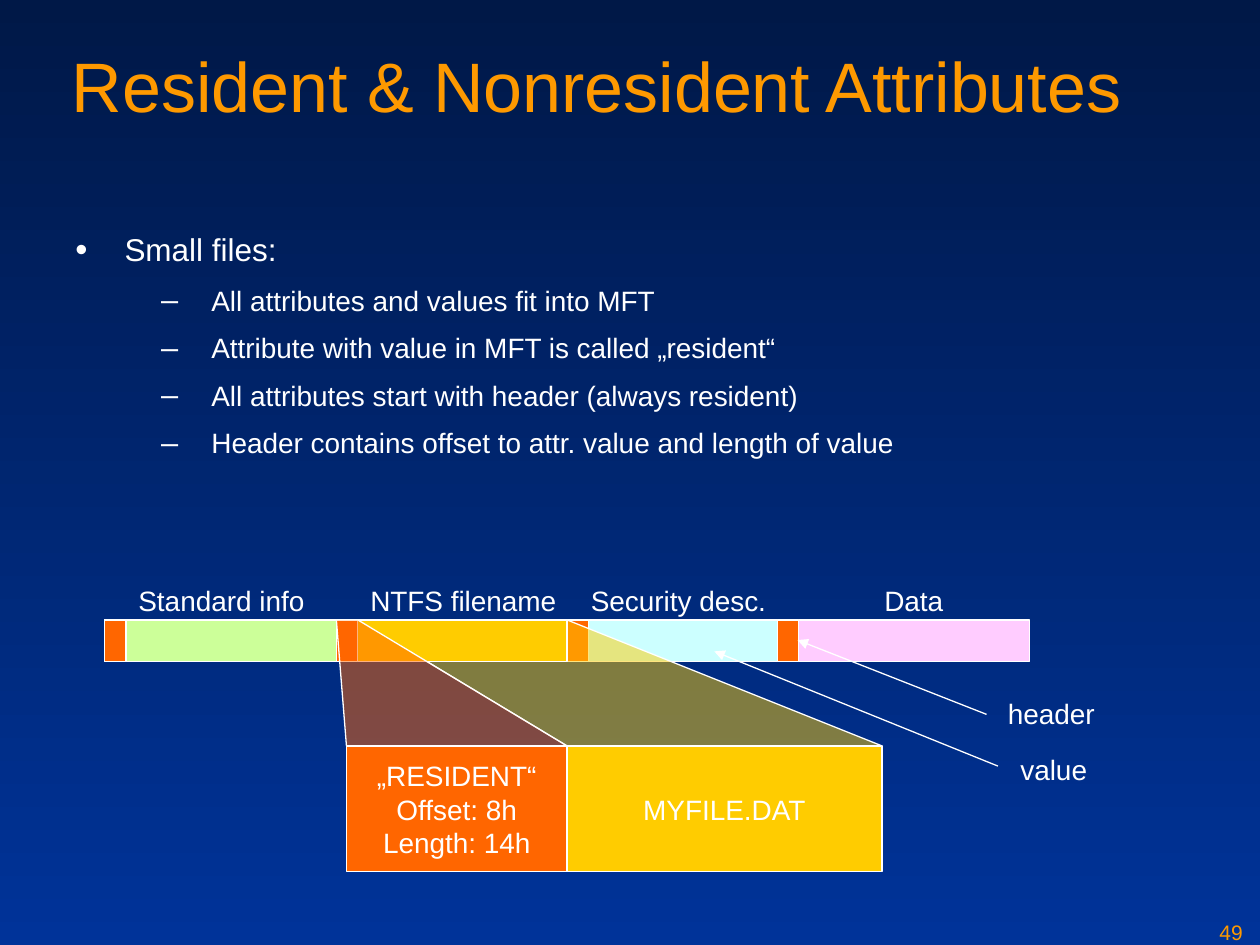
import pptx
import pptx.util
import pptx.dml.color
import pptx.enum.shapes
import pptx.enum.text
import pptx.oxml.ns
from lxml import etree
from pptx.util import Inches

COLORS = {
    "top": "001847", "bottom": "003399", "accent": "FE9900", "white": "FFFFFF",
    "header": "FF6600", "standard": "CCFF99", "filename": "FFCC00",
    "security": "CCFFFF", "data": "FFCCFF",
}
TITLE = "Resident & Nonresident Attributes"
PAGE_NUMBER = "49"
BULLETS = [
    (0, "Small files:"),
    (1, "All attributes and values fit into MFT"),
    (1, "Attribute with value in MFT is called „resident“"),
    (1, "All attributes start with header (always resident)"),
    (1, "Header contains offset to attr. value and length of value"),
]
LEVELS = [
    {"mark": "•", "left": 0.39, "hang": 0.39, "size": 18, "gap": 4.5},
    {"mark": "–", "left": 1.08, "hang": 0.4, "size": 16, "gap": 4},
]
ATTRIBUTES = {
    "standard": (0.83, 2.67),
    "security": (4.5, 6.17),
    "data": (6.17, 8.17),
    "filename": (2.67, 4.5),
}
LABELS = [
    ("NTFS filename", 2.84, 4.58, 1.68), ("Standard info", 1, 4.58, 1.52),
    ("Security desc.", 4.59, 4.58, 1.59), ("Data", 6.92, 4.58, 0.67),
    ("header", 7.9, 5.48, 0.89), ("value", 8, 5.92, 0.73),
]
DETAILS = [
    ("MYFILE.DAT", "filename", 4.5, 2.5),
    ("„RESIDENT“\nOffset: 8h\nLength: 14h", "header", 2.75, 1.75),
]
ARROWS = [((7.83, 5.67), (6.33, 5.08)), ((7.92, 6.08), (5.67, 5.17))]
BAR_TOP, BAR_HEIGHT, HEADER_WIDTH = 4.92, 0.33, 0.17
DETAIL_TOP, DETAIL_HEIGHT = 5.92, 1


def rgb(name):
    return pptx.dml.color.RGBColor.from_string(COLORS[name])


def add_element(parent, tag, **attributes):
    return etree.SubElement(parent, pptx.oxml.ns.qn(tag), **attributes)


def write(para, text, size=16, color="white", align="LEFT"):
    para.alignment = getattr(pptx.enum.text.PP_ALIGN, align)
    for index, line in enumerate(text.split("\n")):
        if index:
            para.add_line_break()
        span = para.add_run()
        span.text = line
        span.font.name = "Arial"
        span.font.size = pptx.util.Pt(size)
        span.font.color.rgb = rgb(color)


def add_text(left, top, width, height, wrap=True, inset=(0.1, 0.05)):
    box = page.shapes.add_textbox(*map(Inches, (left, top, width, height)))
    frame = box.text_frame
    frame.word_wrap = wrap
    frame.margin_left = frame.margin_right = Inches(inset[0])
    frame.margin_top = frame.margin_bottom = Inches(inset[1])
    return frame


def paint(shape, color):
    shape.shadow.inherit = False
    shape.fill.solid()
    shape.fill.fore_color.rgb = rgb(color)
    shape.line.color.rgb = rgb("white")
    shape.line.width = pptx.util.Pt(0.75)


def add_rectangle(left, top, width, height, color):
    shape = page.shapes.add_shape(
        pptx.enum.shapes.MSO_SHAPE.RECTANGLE, *map(Inches, (left, top, width, height)))
    paint(shape, color)
    return shape


def add_attribute(name):
    start, end = ATTRIBUTES[name]
    add_rectangle(start, BAR_TOP, end - start, BAR_HEIGHT, name)
    add_rectangle(start, BAR_TOP, HEADER_WIDTH, BAR_HEIGHT, "header")


def add_zoom(bar_left, bar_right, detail_left, detail_right, color):
    corners = [(bar_left, BAR_TOP), (detail_left, DETAIL_TOP),
               (detail_right, DETAIL_TOP), (bar_right, BAR_TOP)]
    points = [(Inches(x), Inches(y)) for x, y in corners]
    builder = page.shapes.build_freeform(*points[0])
    builder.add_line_segments(points[1:], close=True)
    shape = builder.convert_to_shape()
    paint(shape, color)
    tint = shape._element.spPr.find(".//" + pptx.oxml.ns.qn("a:srgbClr"))
    add_element(tint, "a:alpha", val="50000")


def add_bullet(para, level, text):
    style = LEVELS[level]
    para.level = level
    props = para._p.get_or_add_pPr()
    props.set("marL", str(Inches(style["left"])))
    props.set("indent", str(-Inches(style["hang"])))
    add_element(add_element(props, "a:buClr"), "a:srgbClr", val=COLORS["white"])
    add_element(props, "a:buSzPct", val="110000")
    add_element(props, "a:buFont", typeface="Arial")
    add_element(props, "a:buChar", char=style["mark"])
    if level:
        para.space_before = pptx.util.Pt(style["gap"])
    para.space_after = pptx.util.Pt(style["gap"])
    write(para, text, size=style["size"])


def add_arrow(start, end):
    arrow = page.shapes.add_connector(
        pptx.enum.shapes.MSO_CONNECTOR.STRAIGHT, *map(Inches, start + end))
    arrow.line.color.rgb = rgb("white")
    arrow.line.width = pptx.util.Pt(0.75)
    add_element(arrow.line._get_or_add_ln(), "a:tailEnd", type="triangle")
    add_element(arrow._element.spPr, "a:effectLst")


deck = pptx.Presentation()
deck.slide_width, deck.slide_height = Inches(10), Inches(7.5)
page = deck.slides.add_slide(deck.slide_layouts[6])
backdrop = page.background.fill
backdrop.gradient()
backdrop.gradient_angle = 270
for stop, position, color in zip(backdrop.gradient_stops, (0, 1), ("top", "bottom")):
    stop.position = position
    stop.color.rgb = rgb(color)

write(add_text(9.58, 7.25, 0.42, 0.25).paragraphs[0], PAGE_NUMBER, size=12, color="accent")
title = add_text(0.5, 0.24, 9, 1.25, inset=(0.07, 0.1))
write(title.paragraphs[0], TITLE, size=40, color="accent")

body = add_text(0.5, 1.78, 9, 2.38)
for index, (level, text) in enumerate(BULLETS):
    add_bullet(body.add_paragraph() if index else body.paragraphs[0], level, text)

for text, left, top, width in LABELS:
    label = add_text(left, top, width, 0.37, wrap=False)
    label.auto_size = pptx.enum.text.MSO_AUTO_SIZE.SHAPE_TO_FIT_TEXT
    write(label.paragraphs[0], text)

for name in ("standard", "security", "data"):
    add_attribute(name)

for text, color, left, width in DETAILS:
    detail = add_rectangle(left, DETAIL_TOP, width, DETAIL_HEIGHT, color).text_frame
    detail.word_wrap = False
    detail.vertical_anchor = pptx.enum.text.MSO_ANCHOR.MIDDLE
    write(detail.paragraphs[0], text, align="CENTER")

start, end = ATTRIBUTES["filename"]
add_zoom(start + HEADER_WIDTH, end, 4.5, 7, "filename")
add_attribute("filename")
add_zoom(start, start + HEADER_WIDTH, 2.75, 4.5, "header")

for arrow_start, arrow_end in ARROWS:
    add_arrow(arrow_start, arrow_end)

deck.save("out.pptx")
